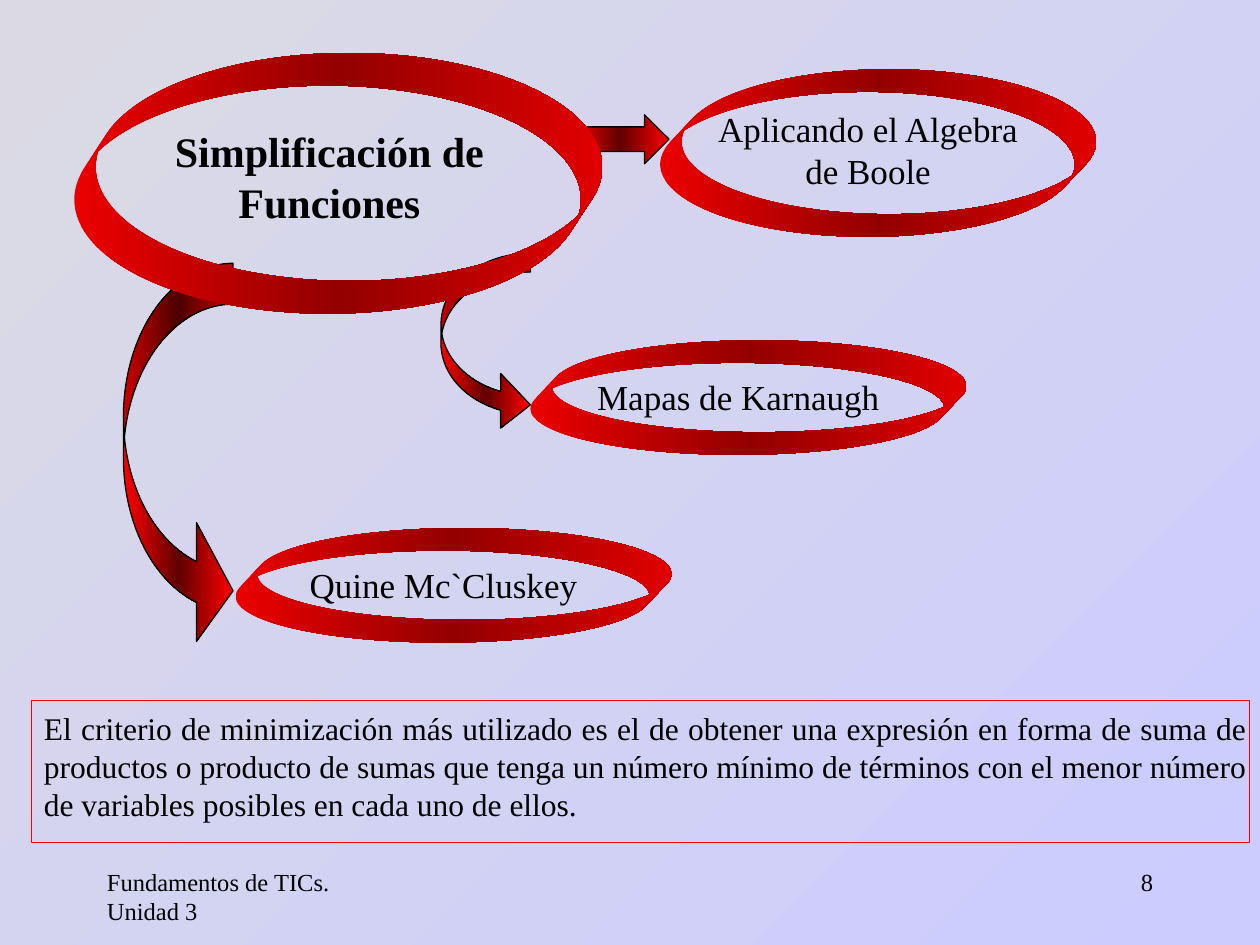
import copy
import math

import lxml.etree
import pptx
import pptx.dml.color
import pptx.enum.shapes
import pptx.enum.text
import pptx.oxml.ns
import pptx.util

KIND = pptx.enum.shapes.MSO_SHAPE
ALIGN = pptx.enum.text.PP_ALIGN
COLS, ROWS = 100, 75
CELL = pptx.util.Inches(0.1)


class Theme:
    font = "Times New Roman"
    ink = "000000"
    edge = "FF0000"
    back = ("DBDAE4", "CCCCFF")
    arrow = ("FF0000", "600000", "FF0000")
    ring = ("EB0000", "940000", "E00000")
    title, label, body, foot = 24, 20, 18, 14
    line = 0.75


def grid(*cells):
    return [round(cell * CELL) for cell in cells]


def color(code):
    return pptx.dml.color.RGBColor.from_string(code)


def apply(target, form):
    for name, value in form.items():
        setattr(target, name, value)


def shade(fill, root, codes, angle=0):
    """Give a fill evenly spaced gradient stops."""
    fill.gradient()
    fill.gradient_angle = angle
    stops = root.find(".//" + pptx.oxml.ns.qn("a:gsLst"))
    while len(stops) < len(codes):
        stops.append(copy.deepcopy(stops[-1]))
    for i, (stop, code) in enumerate(zip(fill.gradient_stops, codes)):
        stop.position = i / (len(codes) - 1)
        stop.color.rgb = color(code)


def stroke(shape, code):
    shape.line.color.rgb = color(code)
    shape.line.width = pptx.util.Pt(Theme.line)


def text(slide, box, words, size, align=ALIGN.LEFT, bold=False):
    frame = slide.shapes.add_textbox(*grid(*box)).text_frame
    frame.word_wrap = True
    para = frame.paragraphs[0]
    para.text = words
    para.alignment = align
    apply(para.font, {"name": Theme.font, "size": pptx.util.Pt(size),
                      "bold": bold})
    para.font.color.rgb = color(Theme.ink)


def arrow(slide, kind, box, adjust):
    shape = slide.shapes.add_shape(kind, *grid(*box))
    shape.shadow.inherit = False
    for i, value in enumerate(adjust):
        shape.adjustments[i] = value
    shade(shape.fill, shape._element.spPr, Theme.arrow)
    stroke(shape, Theme.ink)


def step(path, name, *points):
    node = lxml.etree.SubElement(path, pptx.oxml.ns.qn("a:" + name))
    for point in points:
        x, y = grid(*point)
        lxml.etree.SubElement(node, pptx.oxml.ns.qn("a:pt"),
                              x=str(x), y=str(y))


def arc(path, mid, radii, mean, half, first):
    """Draw an elliptic arc from mean - half to mean + half as two curves."""
    def spot(turn, pull=0):
        c, s = math.cos(turn), math.sin(turn)
        return (mid[0] + radii[0] * (c - pull * s),
                mid[1] + radii[1] * (s + pull * c))

    pull = 4 / 3 * math.tan(half / 4)
    step(path, "moveTo" if first else "lnTo", spot(mean - half))
    for start in (mean - half, mean):
        end = start + half
        step(path, "cubicBezTo", spot(start, pull), spot(end, -pull),
             spot(end))


def ring(slide, box, shift):
    """Draw the band that an ellipse leaves when moved right and up."""
    left, top, width, height = box
    dx, dy = shift
    a, b = width / 2, height / 2
    x0, y0, x1, y1 = grid(left, top + dy, left + width + dx, top + height)
    pen = slide.shapes.build_freeform(x0, y0)
    pen.add_line_segments([(x1, y0), (x1, y1), (x0, y1)])
    shape = pen.convert_to_shape()

    path = shape._element.find(".//" + pptx.oxml.ns.qn("a:path"))
    for node in list(path):
        path.remove(node)
    front, rear = (a, b - dy), (a + dx, b)
    lean = math.atan2(dy / b, dx / a)
    wide = math.acos(math.hypot(dx / a, dy / b) / 2)
    for half, near, far in ((math.pi / 2, rear, front), (wide, front, rear)):
        arc(path, near, (a, b), lean, half, True)
        arc(path, far, (a, b), lean + math.pi, half, False)
        step(path, "close")

    shape.shadow.inherit = False
    shade(shape.fill, shape._element.spPr, Theme.ring)
    shape.line.fill.background()


def frame(slide, box):
    shape = slide.shapes.add_shape(KIND.RECTANGLE, *grid(*box))
    shape.shadow.inherit = False
    shape.fill.background()
    stroke(shape, Theme.edge)


def main():
    deck = pptx.Presentation()
    apply(deck, {"slide_width": COLS * CELL, "slide_height": ROWS * CELL})
    slide = deck.slides.add_slide(deck.slide_layouts[6])
    shade(slide.background.fill, slide._element, Theme.back, 315)

    text(slide, (7.5, 68.3, 20.8, 5), "Fundamentos de TICs. Unidad 3",
         Theme.foot)
    text(slide, (71.7, 68.3, 20.8, 5), "8", Theme.foot, ALIGN.RIGHT)

    curve = KIND.CURVED_RIGHT_ARROW
    arrow(slide, curve, (35, 20.1, 7.1, 14.2), (0.21, 0.61, 0.333))
    arrow(slide, KIND.NOTCHED_RIGHT_ARROW, (45.3, 9.1, 7.8, 3.9), (0.5, 0.5))
    arrow(slide, curve, (9.8, 20.9, 8.7, 30.7), (0.373, 1.082, 0.333))

    text(slide, (7.8, 9.5, 36.7, 9), "Simplificación de Funciones",
         Theme.title, ALIGN.CENTER, True)
    ring(slide, (5.9, 6.8, 40.2, 18.1), (1.7, -2.6))

    topics = [
        ("Aplicando el Algebra de Boole", 52.4, 7.3, 11.5, 0.7),
        ("Mapas de Karnaugh", 42.1, 28.8, 7.3, 0.5),
        ("Quine Mc`Cluskey", 18.7, 43.7, 7.3, 0.5),
    ]
    for words, left, top, high, drop in topics:
        text(slide, (left + 2, top + drop, 29, high - 3), words,
             Theme.label, ALIGN.CENTER)
        ring(slide, (left, top, 32.9, high), (1.7, -1.8))

    frame(slide, (2.5, 55.6, 96.7, 11.3))
    text(slide, (2.5, 55.8, 97.5, 10),
         "El criterio de minimización más utilizado es el de obtener una "
         "expresión en forma de suma de productos o producto de sumas que "
         "tenga un número mínimo de términos con el menor número de "
         "variables posibles en cada uno de ellos.",
         Theme.body, ALIGN.JUSTIFY)
    deck.save("out.pptx")


if __name__ == "__main__":
    main()
